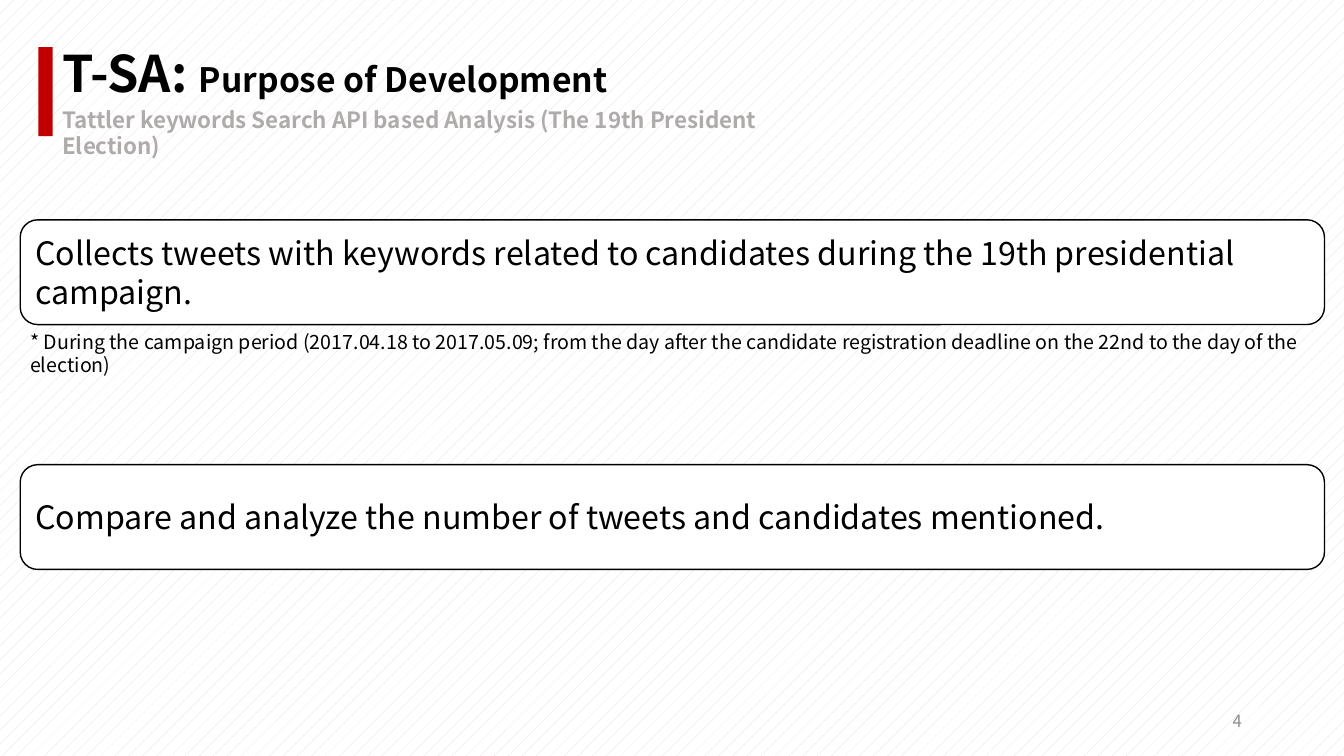
from dataclasses import dataclass

from pptx import Presentation
from pptx.dml.color import RGBColor
from pptx.enum.dml import MSO_PATTERN
from pptx.enum.shapes import MSO_SHAPE
from pptx.enum.text import MSO_ANCHOR, MSO_AUTO_SIZE, PP_ALIGN
from pptx.util import Cm, Pt


@dataclass(frozen=True)
class Theme:
    font: str = "Noto Sans CJK KR"
    ink: str = "000000"
    paper: str = "FFFFFF"
    dots: str = "E3D9D7"
    accent: str = "C00000"
    muted: str = "AFABAB"
    faint: str = "8C8C8C"
    title: int = 36
    topic: int = 24
    body: int = 23
    sub: int = 16
    note: int = 14
    page: int = 12


def color(code):
    return RGBColor.from_string(code)


def apply(target, formats):
    for name, value in formats.items():
        setattr(target, name, value)


class Deck:
    def __init__(self, theme):
        self.theme = theme
        self.file = Presentation()
        apply(self.file, {"slide_width": Cm(33.87), "slide_height": Cm(19.05)})
        self.slide = self.file.slides.add_slide(self.file.slide_layouts[5])

    def ground(self):
        fill = self.slide.background.fill
        fill.patterned()
        fill.pattern = MSO_PATTERN.PERCENT_5
        fill.fore_color.rgb = color(self.theme.dots)
        fill.back_color.rgb = color(self.theme.paper)

    def label(self, shape, runs, tint, bold=False, align=PP_ALIGN.LEFT, **frame):
        """Fill one paragraph with (text, size) runs; frame holds text frame formats."""
        apply(shape.text_frame, {"word_wrap": True, **frame})
        para = shape.text_frame.paragraphs[0]
        para.alignment = align
        for text, size in runs:
            run = para.add_run()
            run.text = text
            apply(run.font, {"name": self.theme.font, "size": Pt(size), "bold": bold})
            run.font.color.rgb = color(tint)

    def title(self, box, runs):
        shape = self.slide.shapes.title
        apply(shape, dict(zip(("left", "top", "width", "height"), map(Cm, box))))
        self.label(shape, runs, self.theme.ink, bold=True,
                   vertical_anchor=MSO_ANCHOR.TOP, auto_size=MSO_AUTO_SIZE.NONE)

    def text(self, box, text, size, tint, **formats):
        shape = self.slide.shapes.add_textbox(*map(Cm, box))
        self.label(shape, [(text, size)], tint, **formats)

    def shape(self, kind, box, fill, line=None):
        shape = self.slide.shapes.add_shape(kind, *map(Cm, box))
        shape.shadow.inherit = False
        shape.fill.solid()
        shape.fill.fore_color.rgb = color(fill)
        if line:
            shape.line.color.rgb = color(line)
            shape.line.width = Pt(1)
        else:
            shape.line.fill.background()
        return shape

    def card(self, box, text):
        look = self.theme
        shape = self.shape(MSO_SHAPE.ROUNDED_RECTANGLE, box, look.paper, look.ink)
        self.label(shape, [(text, look.body)], look.ink,
                   vertical_anchor=MSO_ANCHOR.MIDDLE)


def main():
    look = Theme()
    deck = Deck(look)
    deck.ground()

    deck.shape(MSO_SHAPE.RECTANGLE, (0.97, 1.19, 0.36, 2.24), look.accent)
    deck.title((1.32, 0.94, 19.53, 3),
               [("T-SA: ", look.title), ("Purpose of Development", look.topic)])
    deck.text((1.32, 2.54, 19.05, 0.94),
              "Tattler keywords Search API based Analysis (The 19th President Election)",
              look.sub, look.muted, bold=True)

    left, width, height = 0.51, 32.87, 2.64
    goals = {
        5.54: "Collects tweets with keywords related to candidates "
              "during the 19th presidential campaign.",
        11.71: "Compare and analyze the number of tweets and candidates mentioned.",
    }
    for top, goal in goals.items():
        deck.card((left, top, width, height), goal)
    deck.text((left, min(goals) + height, width, 0.86),
              "* During the campaign period (2017.04.18 to 2017.05.09; from the day after "
              "the candidate registration deadline on the 22nd to the day of the election)",
              look.note, look.ink)

    deck.text((23.93, 17.65, 7.62, 1.02), "4", look.page, look.faint,
              align=PP_ALIGN.RIGHT, vertical_anchor=MSO_ANCHOR.MIDDLE)
    deck.file.save("out.pptx")


if __name__ == "__main__":
    main()
